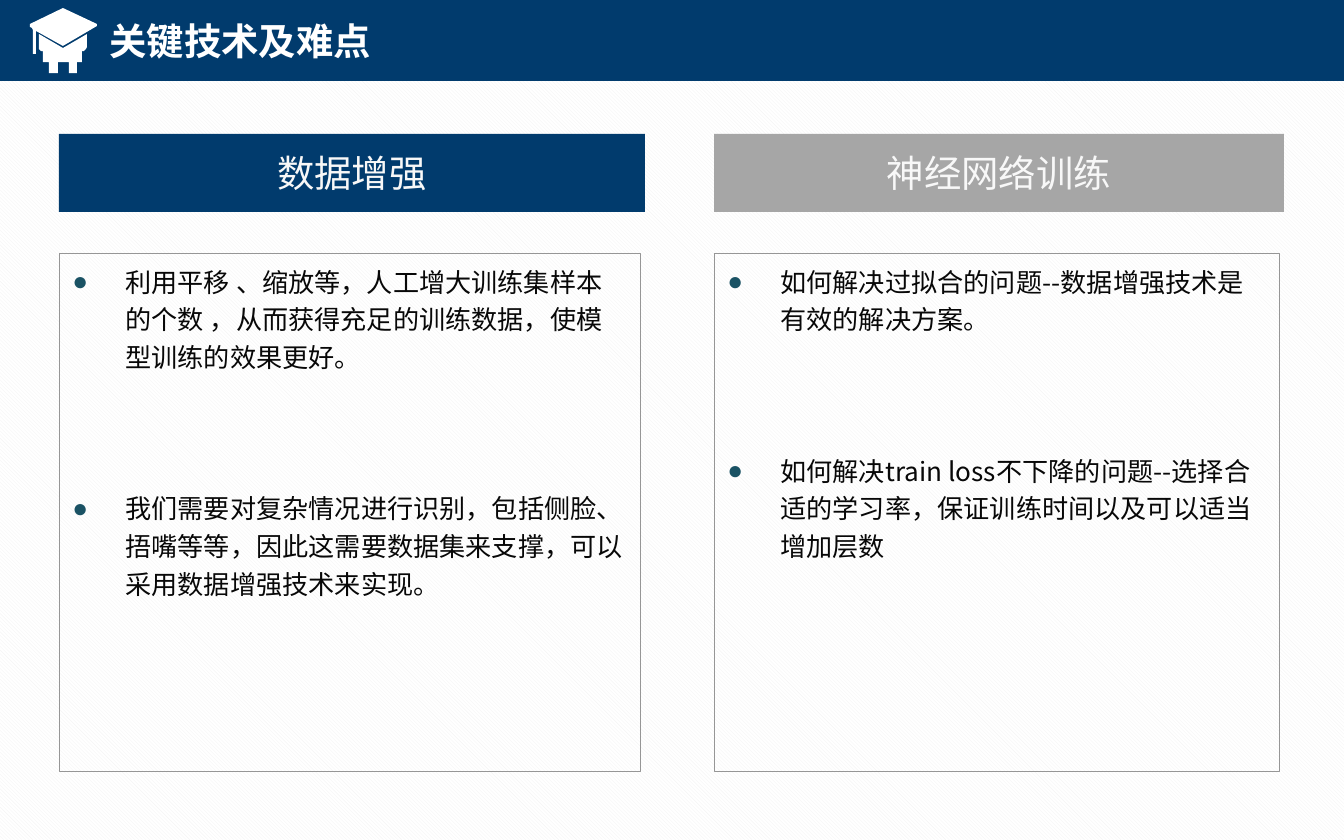
from lxml.etree import SubElement
from pptx import Presentation
from pptx.dml.color import RGBColor
from pptx.enum.dml import MSO_PATTERN
from pptx.enum.shapes import MSO_SHAPE
from pptx.enum.text import MSO_ANCHOR, MSO_AUTO_SIZE, PP_ALIGN
from pptx.oxml.ns import qn
from pptx.util import Emu, Pt

FONT = "Noto Sans CJK SC"
NAVY = RGBColor(0x01, 0x3B, 0x6D)
GREY = RGBColor(0xA6, 0xA6, 0xA6)
BORDER = RGBColor(0x96, 0x96, 0x96)
WHITE = RGBColor(0xFF, 0xFF, 0xFF)
HATCH = RGBColor(0xF2, 0xF2, 0xF2)
HEADER_TEXT = RGBColor(0xF8, 0xF8, 0xF8)
BODY_TEXT = RGBColor(0x08, 0x08, 0x08)
BULLET = RGBColor(0x1A, 0x52, 0x64)

PX = 914400 / 134.4  # EMU per px
INDENT = round(53 * PX)

CAP = [(30, 24), (63, 8), (97, 24), (97, 26), (63, 46), (36, 31), (36, 54),
       (33, 54), (33, 30), (32, 28), (30, 27)]
HEAD = [(39, 34), (63, 48), (87, 34), (87, 47), (86, 49), (84, 51), (82, 51),
        (82, 62), (77, 62), (77, 73), (69, 73), (69, 62), (58, 62), (58, 73),
        (49, 73), (49, 62), (43, 62), (43, 51), (41, 51), (39, 49), (39, 47)]

# left, header width, body width, header colour, header, items
COLUMNS = [
    (59, 586, 581, NAVY, "数据增强", [
        "利用平移 、缩放等，人工增大训练集样本的个数 ，从而获得充足的训练数据，使模型训练的效果更好。",
        "我们需要对复杂情况进行识别，包括侧脸、捂嘴等等，因此这需要数据集来支撑，可以采用数据增强技术来实现。"]),
    (714, 570, 565, GREY, "神经网络训练", [
        "如何解决过拟合的问题--数据增强技术是有效的解决方案。",
        "如何解决train loss不下降的问题--选择合适的学习率，保证训练时间以及可以适当增加层数"]),
]


def place(shape, left, top, width, height):
    """Set a shape's frame in px."""
    shape.left, shape.top, shape.width, shape.height = (
        Emu(round(n * PX)) for n in (left, top, width, height))


def write(shape, lines, size, color, bold=False, align=PP_ALIGN.LEFT,
          anchor=MSO_ANCHOR.MIDDLE):
    tf = shape.text_frame
    tf.text = "\n".join(lines)
    tf.word_wrap = True
    tf.auto_size = MSO_AUTO_SIZE.NONE
    tf.vertical_anchor = anchor
    for p in tf.paragraphs:
        p.alignment = align
        p.space_before = Pt(0)
        for r in p.runs:
            r.font.size, r.font.bold, r.font.name = Pt(size), bold, FONT
            r.font.color.rgb = color
            SubElement(r._r.get_or_add_rPr(), qn("a:ea"), typeface=FONT)


prs = Presentation()
prs.slide_width, prs.slide_height = Emu(round(1344 * PX)), Emu(round(840 * PX))
s = prs.slides.add_slide(prs.slide_layouts.get_by_name("Comparison"))
fill = s.background.fill
fill.patterned()
fill.pattern = MSO_PATTERN.LIGHT_DOWNWARD_DIAGONAL
fill.fore_color.rgb, fill.back_color.rgb = HATCH, WHITE

# Title bar, kept behind the title
title, *panels = s.placeholders
banner = s.shapes.add_shape(MSO_SHAPE.RECTANGLE, 0, 0, prs.slide_width, Emu(round(81 * PX)))
banner.shadow.inherit = False
banner.fill.solid()
banner.fill.fore_color.rgb = NAVY
banner.line.fill.background()
title.element.addprevious(banner.element)
place(title, 96, 11, 512, 59)
write(title, ["关键技术及难点"], 20, WHITE, bold=True)

# Graduate icon
for points in (CAP, HEAD):
    builder = s.shapes.build_freeform(*points[0], scale=PX)
    builder.add_line_segments(points[1:], close=True)
    icon = builder.convert_to_shape()
    icon.shadow.inherit = False
    icon.fill.solid()
    icon.fill.fore_color.rgb = WHITE
    icon.line.fill.background()

# Two columns: coloured header above a framed list
for (left, header_w, body_w, color, heading, items), header, body in zip(
        COLUMNS, panels[::2], panels[1::2]):
    place(header, left, 134, header_w, 78)
    header.fill.solid()
    header.fill.fore_color.rgb = color
    write(header, [heading], 20, HEADER_TEXT, align=PP_ALIGN.CENTER)

    place(body, left, 253, body_w, 518)
    body.line.color.rgb = BORDER
    body.line.width = Pt(0.25)
    write(body, items, 14, BODY_TEXT, anchor=MSO_ANCHOR.TOP)
    for p in body.text_frame.paragraphs:
        pPr = p._p.get_or_add_pPr()
        pPr.set("marL", str(INDENT))
        pPr.set("indent", str(-INDENT))
        SubElement(SubElement(pPr, qn("a:buClr")), qn("a:srgbClr"), val=str(BULLET))
        SubElement(pPr, qn("a:buFont"), typeface="Arial")
        SubElement(pPr, qn("a:buChar"), char="●")
        p.line_spacing = 1.2
    body.text_frame.paragraphs[1].space_before = Pt(61)

prs.save("out.pptx")
